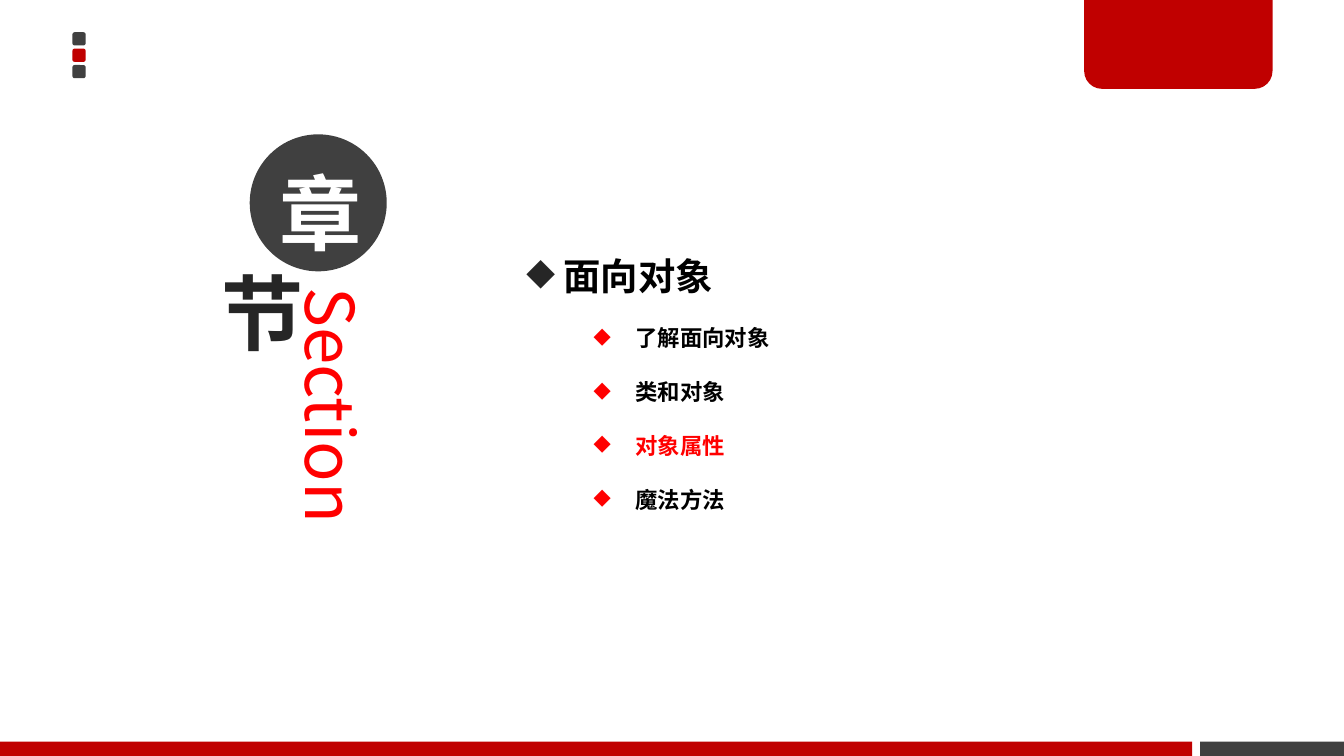
from lxml import etree
from pptx import Presentation
from pptx import util as u
from pptx.dml.color import RGBColor
from pptx.enum import shapes, text
from pptx.oxml.ns import qn

# Content
RED, DARK, INK = "C00000", "404040", "262626"
HOT, BLACK, WHITE = "FF0000", "000000", "FFFFFF"
SANS, LATIN = "Noto Sans CJK SC", "Calibri"
TITLE = " 面向对象"
TOPICS = [
    ("了解面向对象", BLACK),
    ("类和对象", BLACK),
    ("对象属性", HOT),
    ("魔法方法", BLACK),
]
DOTS = [DARK, RED, DARK]
WIDE, HIGH, BAR = 25.4, 14.29, 0.27
SPLIT, GAP = 22.53, 0.15
KIND = shapes.MSO_SHAPE


def color(code):
    return RGBColor.from_string(code)


def draw(kind, box, fill=None, adj=()):
    shape = page.shapes.add_shape(kind, *map(u.Cm, box))
    shape.shadow.inherit = False
    shape.line.fill.background()
    if fill:
        shape.fill.solid()
        shape.fill.fore_color.rgb = color(fill)
    else:
        shape.fill.background()
    for i, val in enumerate(adj):
        shape.adjustments[i] = val
    return shape


def setup(frame, **form):
    form = {"word_wrap": True, **form}
    for key, val in form.items():
        setattr(frame, key, val)
    return frame


def write(para, words, tint, size, bold=True, face=SANS):
    run = para.add_run()
    run.text = words
    form = {"name": face, "size": u.Pt(size), "bold": bold}
    for key, val in form.items():
        setattr(run.font, key, val)
    run.font.color.rgb = color(tint)
    # East Asian glyphs take their own typeface
    east = etree.Element(qn("a:ea"), typeface=SANS)
    run.font._element.find(qn("a:latin")).addnext(east)


def bullet(para, tint, left, hang):
    props = para._p.get_or_add_pPr()
    props.set("marL", str(u.Cm(left)))
    props.set("indent", str(-u.Cm(hang)))
    shade = etree.SubElement(props, qn("a:buClr"))
    etree.SubElement(shade, qn("a:srgbClr"), val=tint)
    etree.SubElement(props, qn("a:buChar"), char="◆")
    para.line_spacing = 2.0


deck = Presentation()
deck.slide_width, deck.slide_height = u.Cm(WIDE), u.Cm(HIGH)
page = deck.slides.add_slide(deck.slide_layouts[6])

# Corner dots
for i, tint in enumerate(DOTS):
    draw(KIND.ROUNDED_RECTANGLE, (1.37, 0.61 + i * 0.31, 0.25, 0.25), tint, [0.167])

# Top tab and bottom bars
draw(KIND.ROUND_2_SAME_RECTANGLE, (20.49, 0, 3.56, 1.68), RED, [0, 0.2])
for left, right, tint in [(0, SPLIT, RED), (SPLIT + GAP, WIDE, DARK)]:
    draw(KIND.RECTANGLE, (left, HIGH - BAR, right - left, BAR), tint)

# Vertical section label
pad = {"margin_left": u.Cm(0.18), "margin_right": u.Cm(0.18),
       "margin_top": u.Cm(0.1), "margin_bottom": u.Cm(0.1)}
label = page.shapes.add_textbox(*map(u.Cm, (5.44, 5.33, 1.78, 7.34)))
frame = setup(label.text_frame, **pad)
frame._txBody.bodyPr.set("vert", "vert")
write(frame.paragraphs[0], "Section", HOT, 36, bold=False)

# Chapter badge: one filled circle, one clear
badges = [
    ("章", (4.72, 2.54, 2.59, 2.59), DARK, WHITE, 0.38, u.Pt(70)),
    ("节", (3.71, 4.88, 2.03, 2.03), None, INK, 0.1, None),
]
for sign, box, fill, tint, foot, lead in badges:
    badge = draw(KIND.OVAL, box, fill)
    form = {**pad, "margin_bottom": u.Cm(foot), "vertical_anchor": text.MSO_ANCHOR.MIDDLE}
    para = setup(badge.text_frame, **form).paragraphs[0]
    para.alignment = text.PP_ALIGN.CENTER
    para.line_spacing = lead
    write(para, sign, tint, 44)

# Topic list
box = page.shapes.add_textbox(*map(u.Cm, (9.7, 3.81, 11.99, 7.09)))
frame = setup(box.text_frame, auto_size=text.MSO_AUTO_SIZE.SHAPE_TO_FIT_TEXT)
head = frame.paragraphs[0]
bullet(head, INK, 0.48, 0.48)
write(head, TITLE, BLACK, 20)
for words, tint in TOPICS:
    para = frame.add_paragraph()
    para.level = 1
    bullet(para, HOT, 2.06, 0.79)
    write(para, words, tint, 12, face=LATIN)

deck.save("out.pptx")
